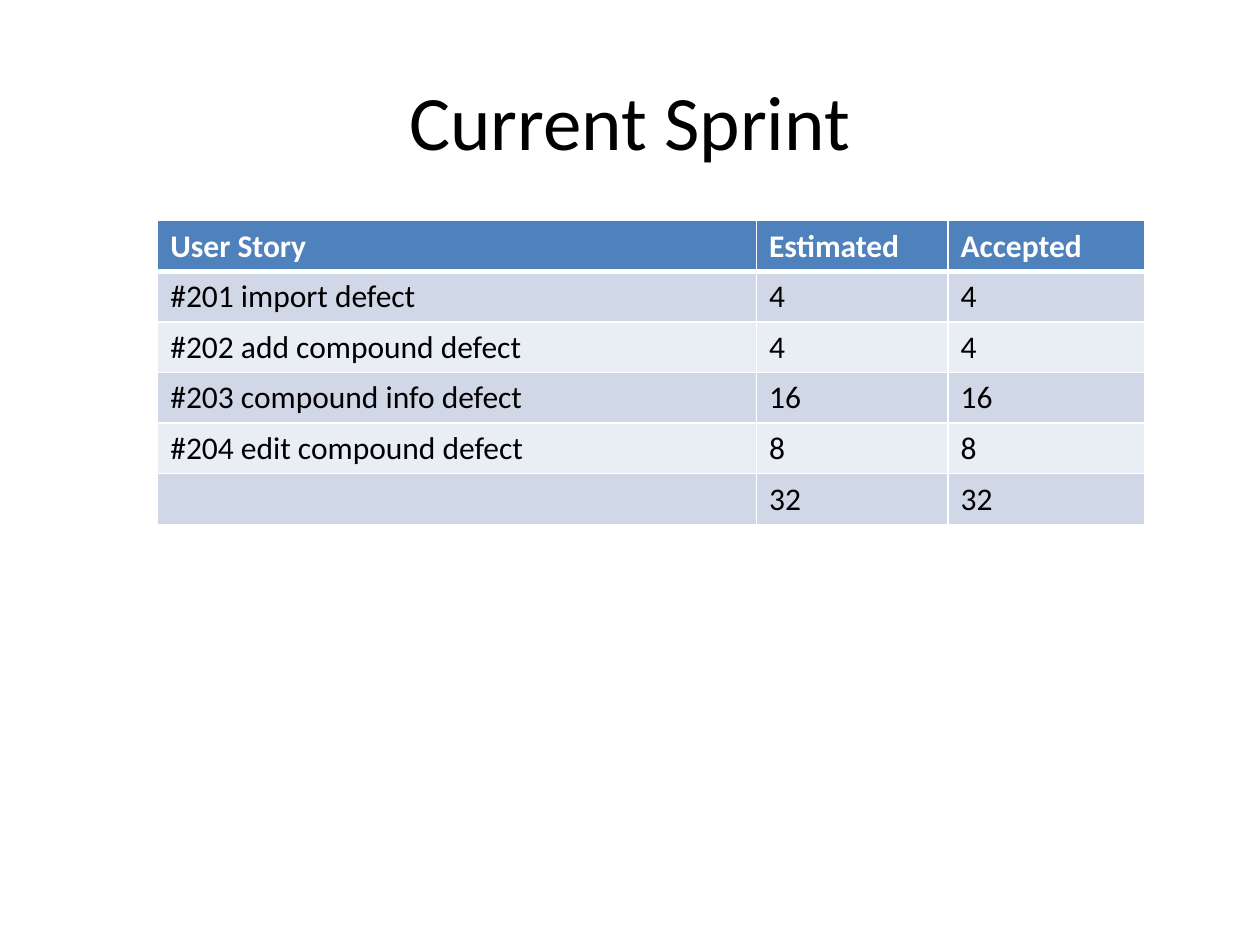
from dataclasses import dataclass

from lxml import etree
from pptx import Presentation
from pptx.dml.color import RGBColor
from pptx.enum.text import MSO_ANCHOR, PP_ALIGN
from pptx.oxml.ns import qn
from pptx.util import Cm, Pt

LEFT, CENTER = PP_ALIGN.LEFT, PP_ALIGN.CENTER
MIDDLE = MSO_ANCHOR.MIDDLE

BLACK = RGBColor(0x00, 0x00, 0x00)
WHITE = RGBColor(0xFF, 0xFF, 0xFF)
HEADER_BLUE = RGBColor(0x4F, 0x81, 0xBD)
BAND_DARK = RGBColor(0xD0, 0xD8, 0xE8)
BAND_LIGHT = RGBColor(0xE9, 0xED, 0xF4)

FONT = "Calibri"
COLUMN_WIDTHS = (12.07, 3.86, 3.96)
ROW_HEIGHT = 1.02


@dataclass(frozen=True)
class Story:
    name: str
    estimated: str
    accepted: str

    def values(self) -> tuple[str, str, str]:
        return self.name, self.estimated, self.accepted


HEADER = Story("User Story", "Estimated", "Accepted")
STORIES = (
    Story("#201 import defect", "4", "4"),
    Story("#202 add compound defect", "4", "4"),
    Story("#203 compound info defect", "16", "16"),
    Story("#204 edit compound defect", "8", "8"),
    Story("", "32", "32"),
)


def write_text(text_frame, text: str, *, size: float, color: RGBColor = BLACK,
               bold: bool = False, align=LEFT) -> None:
    paragraph = text_frame.paragraphs[0]
    paragraph.alignment = align
    if not text:
        paragraph.font.size = Pt(size)
        return
    run = paragraph.add_run()
    run.text = text
    run.font.name = FONT
    run.font.size = Pt(size)
    run.font.bold = bold
    run.font.color.rgb = color


def set_borders(cell, widths: dict[str, float]) -> None:
    """Give the cell solid white borders, placed ahead of its fill."""
    properties = cell._tc.get_or_add_tcPr()
    for index, (side, width) in enumerate(widths.items()):
        line = etree.Element(qn(f"a:{side}"), w=str(Pt(width)))
        fill = etree.SubElement(line, qn("a:solidFill"))
        etree.SubElement(fill, qn("a:srgbClr"), val=str(WHITE))
        properties.insert(index, line)


def add_title(slide, text: str) -> None:
    title = slide.shapes.add_textbox(Cm(1.27), Cm(0.83), Cm(22.86), Cm(3.18))
    title.text_frame.word_wrap = True
    title.text_frame.vertical_anchor = MIDDLE
    write_text(title.text_frame, text, size=44, align=CENTER)


def add_story_table(slide, stories: tuple[Story, ...]) -> None:
    rows = (HEADER, *stories)
    table = slide.shapes.add_table(
        len(rows), len(COLUMN_WIDTHS), Cm(3.18), Cm(4.45),
        Cm(sum(COLUMN_WIDTHS)), Cm(ROW_HEIGHT * len(rows))).table
    for column, width in zip(table.columns, COLUMN_WIDTHS):
        column.width = Cm(width)

    for row_index, story in enumerate(rows):
        table.rows[row_index].height = Cm(ROW_HEIGHT)
        is_header = row_index == 0
        band = BAND_DARK if row_index % 2 else BAND_LIGHT
        # The rule under the header is thicker than the others
        borders = {"lnL": 1, "lnR": 1,
                   "lnT": 3 if row_index == 1 else 1,
                   "lnB": 3 if is_header else 1}
        for column_index, value in enumerate(story.values()):
            cell = table.cell(row_index, column_index)
            cell.fill.solid()
            cell.fill.fore_color.rgb = HEADER_BLUE if is_header else band
            set_borders(cell, borders)
            write_text(cell.text_frame, value, size=18, bold=is_header,
                       color=WHITE if is_header else BLACK)


def main() -> None:
    presentation = Presentation()
    presentation.slide_width = Cm(25.4)
    presentation.slide_height = Cm(19.05)
    slide = presentation.slides.add_slide(presentation.slide_layouts[6])

    # Title
    add_title(slide, "Current Sprint")
    # Stories with their estimated and accepted points
    add_story_table(slide, STORIES)

    presentation.save("out.pptx")


if __name__ == "__main__":
    main()
